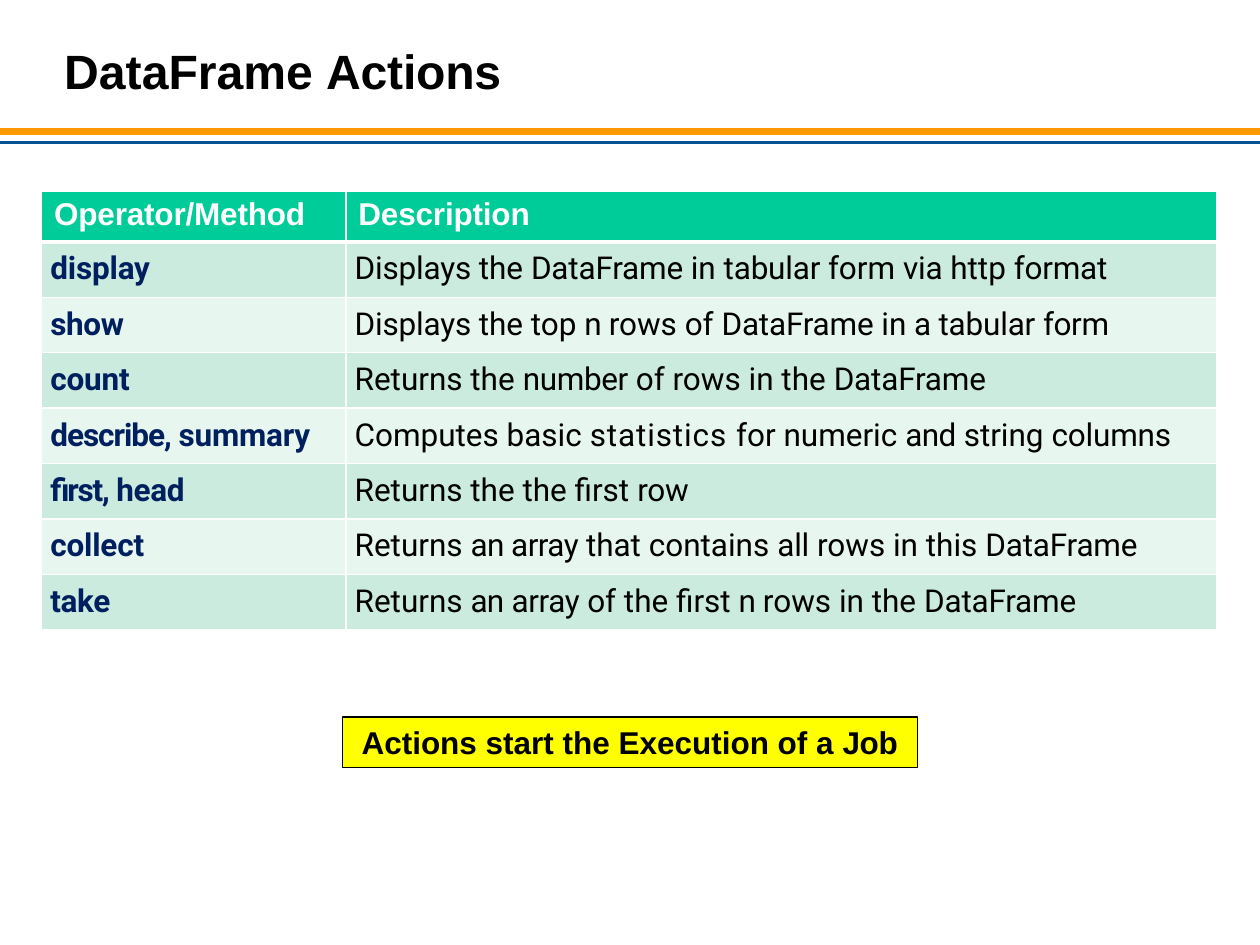
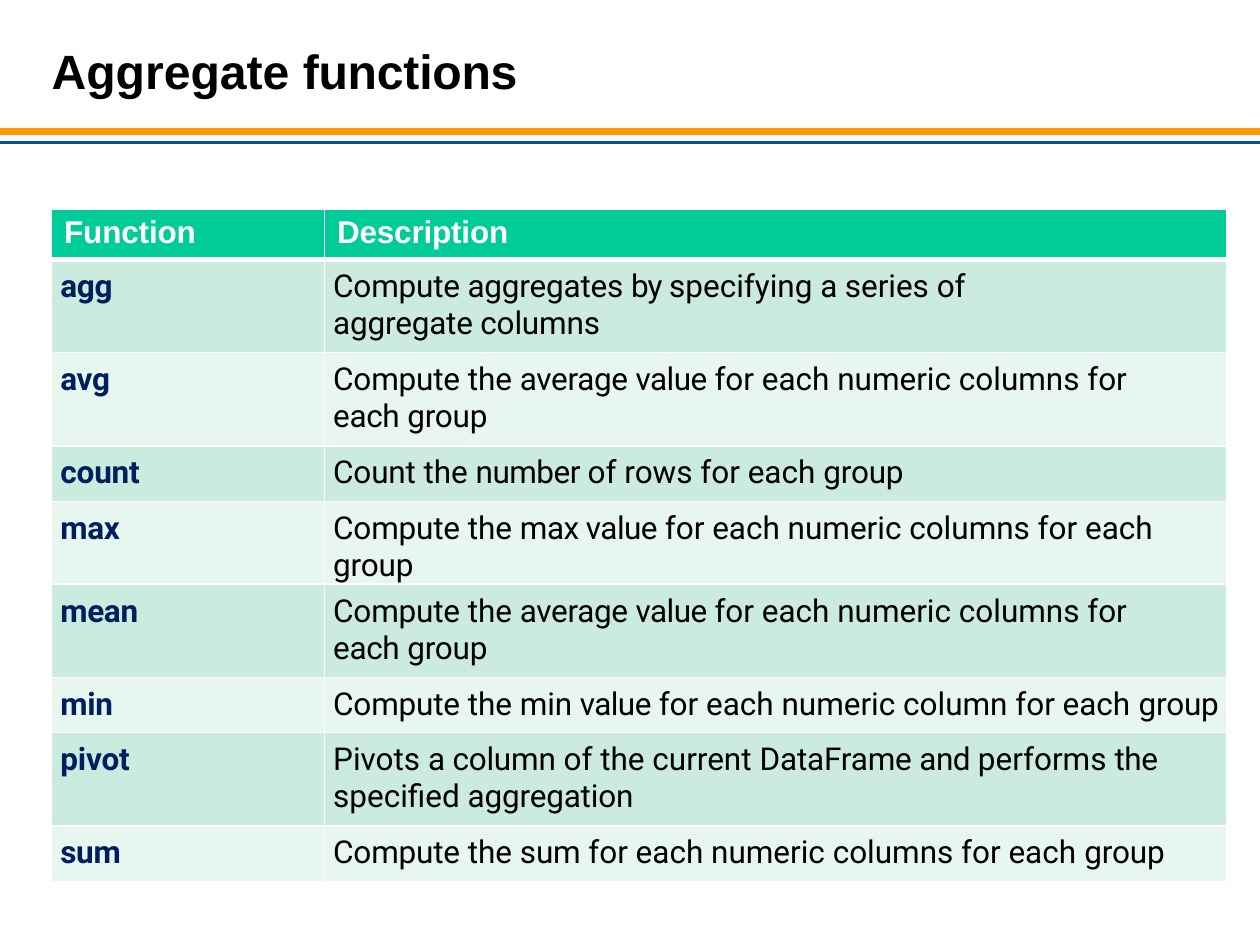
from pptx import Presentation
from pptx.dml.color import RGBColor
from pptx.enum.shapes import MSO_CONNECTOR, MSO_SHAPE
from pptx.enum.text import MSO_ANCHOR, MSO_AUTO_SIZE, PP_ALIGN
from pptx.oxml.ns import qn
from pptx.util import Inches, Pt
from lxml import etree

LEFT, TOP, MIDDLE = PP_ALIGN.LEFT, MSO_ANCHOR.TOP, MSO_ANCHOR.MIDDLE
FIXED, RECT, LINE = MSO_AUTO_SIZE.NONE, MSO_SHAPE.RECTANGLE, MSO_CONNECTOR.STRAIGHT
COLS, ROWS, UNIT = 100, 75, 0.1
BLACK, WHITE, NAVY, GREEN, YELLOW = "000000", "FFFFFF", "001F5F", "00CC99", "FFFF00"
TINTS = "CAEBDE", "E7F6EE"
BANDS = (10.4, "FF9900", 4), (11.3, "005494", 2)
HEAD, BODY = "Arial", "Roboto"

START = [("Compute ", -0.1), ("the ", 0)]
END = [("group", -0.1)]
MEAN = [START + [("average ", -0.2), ("value ", -0.3),
                 ("for each numeric columns for ", 0), ("each ", -0.2)] + END]

ACTIONS = [
    ([("display", -0.1)],
     [[("Displays ", -0.1), ("the ", 0), ("DataFrame ", -0.1), ("in ", 0), ("tabular ", -0.1),
       ("form ", 0), ("via ", -0.1), ("http ", 0), ("format", -0.1)]], 0),
    ([("show", -0.2)],
     [[("Displays ", -0.1), ("the top ", 0), ("n ", -0.5), ("rows of ", 0), ("DataFrame ", -0.1),
       ("in ", 0), ("a ", -0.3), ("tabular ", -0.1), ("form", -0.2)]], 0),
    ([("count", -0.1)],
     [[("Returns the ", 0), ("number ", -0.2), ("of rows in the ", 0), ("DataFrame", -0.1)]], 0),
    ([("describe, ", -0.6), ("summary", -0.1)],
     [[("Computes basic ", 0), ("statistics ", 0.5), ("for numeric ", 0), ("and ", -0.3),
       ("string ", 0), ("columns", -0.1)]], 0),
    ([("first, ", -0.7), ("head", -0.2)],
     [[("Returns the the first ", 0), ("row", -0.2)]], 0),
    ([("collect", -0.1)],
     [[("Returns ", 0), ("an array ", -0.3), ("that contains ", 0), ("all ", -0.1),
       ("rows in this ", 0), ("DataFrame", -0.1)]], 0),
    ([("take", -0.2)],
     [[("Returns ", 0), ("an ", -0.4), ("array ", -0.2), ("of the first ", 0), ("n ", -0.5),
       ("rows in the ", 0), ("DataFrame", -0.1)]], 0),
]
TOTALS = [
    ([("agg", -0.2)],
     [[("Compute aggregates ", -0.1), ("by ", -0.6), ("specifying ", 0), ("a ", -0.3),
       ("series of ", 0), ("aggregate columns", -0.1)]], 15),
    ([("avg", -0.2)], MEAN, 5),
    ([("count", -0.1)],
     [[("Count ", -0.1), ("the ", 0), ("number ", -0.3), ("of rows for each ", 0)] + END], 0),
    ([("max", -0.2)],
     [START + [("max value ", -0.3), ("for each numeric columns for each ", 0)] + END], 0),
    ([("mean", -0.2)], MEAN, 5),
    ([("min", -0.2)],
     [START + [("min ", -0.1), ("value ", -0.3), ("for each numeric column for each ", 0)] + END], 0),
    ([("pivot", -0.1)],
     [[("Pivots ", 0), ("a ", -0.3), ("column ", -0.1), ("of the current ", 0),
       ("DataFrame ", -0.1), ("and ", -0.3), ("performs ", 0), ("the", -0.2)],
      [("specified ", 0), ("aggregation", -0.1)]], 0),
    ([("sum", -0.2)],
     [START + [("sum ", -0.1), ("for each numeric columns for each ", 0)] + END], 0),
]


def grid(*sizes):
    """Turn grid columns or rows into lengths."""
    return [Inches(size * UNIT) for size in sizes]


def tint(code):
    """Return the colour of a hex string."""
    return RGBColor.from_string(code)


def paint(fill, code):
    """Make a fill solid in one colour."""
    fill.solid()
    fill.fore_color.rgb = tint(code)


def pad(host, left, top, right=0):
    """Set the inner margins of a cell or text frame."""
    host.margin_left, host.margin_top, host.margin_right = grid(left, top, right)
    host.margin_bottom = 0


def write(frame, paras, font, size, code, bold):
    """Fill a text frame with paragraphs of tracked runs."""
    for pos, runs in enumerate(paras):
        para = frame.paragraphs[0] if pos == 0 else frame.add_paragraph()
        para.alignment = LEFT
        for text, track in runs:
            run = para.add_run()
            run.text = text
            run.font.name, run.font.size, run.font.bold = font, Pt(size), bold
            run.font.color.rgb = tint(code)
            run.font._element.set("spc", str(round(track * 100)))


def edge(cell, top, base):
    """Draw white borders round a cell."""
    props = cell._tc.get_or_add_tcPr()
    for side, width in zip("LRTB", (1, 1, top, base)):
        line = etree.SubElement(props, qn(f"a:ln{side}"), w=str(Pt(width)))
        fill = etree.SubElement(line, qn("a:solidFill"))
        etree.SubElement(fill, qn("a:srgbClr"), val=WHITE)


def frame_slide(deck, runs, indent):
    """Add a slide with its title and the two bands."""
    slide = deck.slides.add_slide(deck.slide_layouts[5])
    for top, code, width in BANDS:
        band = slide.shapes.add_connector(LINE, *grid(0, top, COLS, top))
        band.line.color.rgb, band.line.width = tint(code), Pt(width)
        etree.SubElement(band._element.spPr, qn("a:effectLst"))
    title = slide.shapes.title
    title.left, title.top, title.width, title.height = grid(2.5, 3.1, 94.9, 4.6)
    text = title.text_frame
    text.auto_size, text.vertical_anchor, text.word_wrap = FIXED, TOP, True
    pad(text, indent, 0.2)
    write(text, [runs], HEAD, 27.5, BLACK, True)
    text.paragraphs[0].space_before = Pt(1.4)
    return slide


def add_grid(slide, box, cols, rows, heads, items):
    """Place a banded two-column table in the box."""
    table = slide.shapes.add_table(len(rows), len(cols), *grid(*box)).table
    for col, width in zip(table.columns, grid(*cols)):
        col.width = width
    for row, height in zip(table.rows, grid(*rows)):
        row.height = height
    for pos, text in enumerate(heads):
        cell = table.cell(0, pos)
        edge(cell, 1, 3)
        paint(cell.fill, GREEN)
        pad(cell, 1, 0.43)
        write(cell.text_frame, [[(text, -0.1)]], HEAD, 18, WHITE, True)
    for line, (name, paras, right) in enumerate(items, 1):
        parts = ([name], NAVY, True, 0), (paras, BLACK, False, right)
        for pos, (text, code, bold, gap) in enumerate(parts):
            cell = table.cell(line, pos)
            edge(cell, 3 if line == 1 else 1, 1)
            paint(cell.fill, TINTS[(line - 1) % 2])
            pad(cell, 0.7, 0.7, gap)
            write(cell.text_frame, text, BODY, 18, code, bold)


def add_note(slide, box, runs):
    """Place a yellow note in the box."""
    note = slide.shapes.add_shape(RECT, *grid(*box))
    note.shadow.inherit = False
    paint(note.fill, YELLOW)
    note.line.color.rgb, note.line.width = tint(BLACK), Pt(0.75)
    text = note.text_frame
    text.word_wrap, text.vertical_anchor = True, MIDDLE
    pad(text, 1.5, 0)
    write(text, [runs], HEAD, 18, BLACK, True)


def main():
    """Build both slides and save them."""
    deck = Presentation()
    deck.slide_width, deck.slide_height = grid(COLS, ROWS)
    slide = frame_slide(deck, [("DataFrame ", 0), ("Actions", -0.1)], 2.6)
    add_grid(slide, (3.3, 15.2, 93.3, 34.8), (24.15, 69.15), [4] + [4.4] * 7,
             ("Operator/Method", "Description"), ACTIONS)
    add_note(slide, (27.2, 56.9, 45.6, 4),
             [("Actions start the Execution of a", 0), (" Job", -0.2)])
    slide = frame_slide(deck, [("Aggregate ", 0), ("functions", -0.1)], 1.6)
    add_grid(slide, (4.1, 16.6, 93.3, 51.2), (21.65, 71.65),
             (4, 7.4, 7.4, 4.4, 4.4, 7.4, 4.4, 7.4, 4.4),
             ("Function", "Description"), TOTALS)
    deck.save("out.pptx")


if __name__ == "__main__":
    main()
